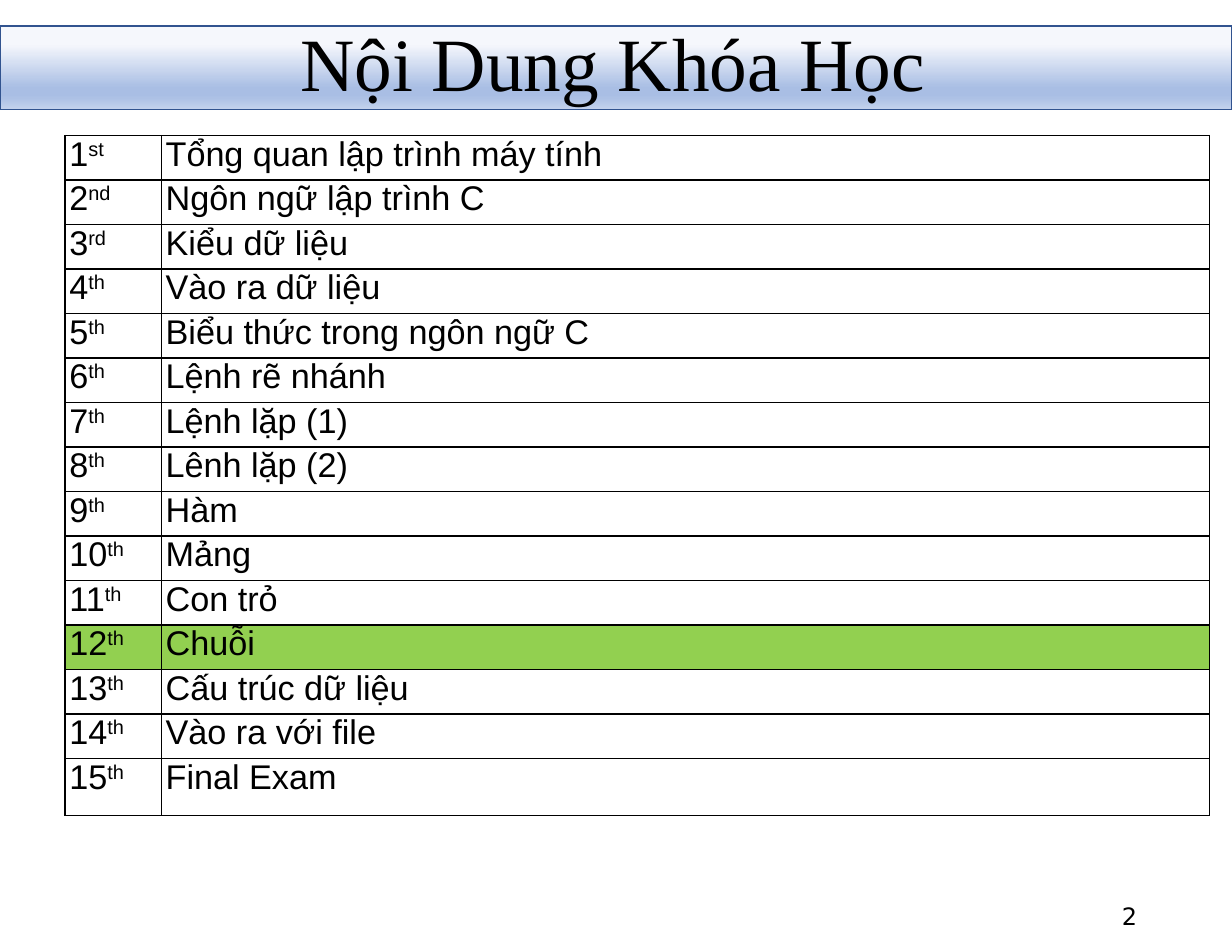
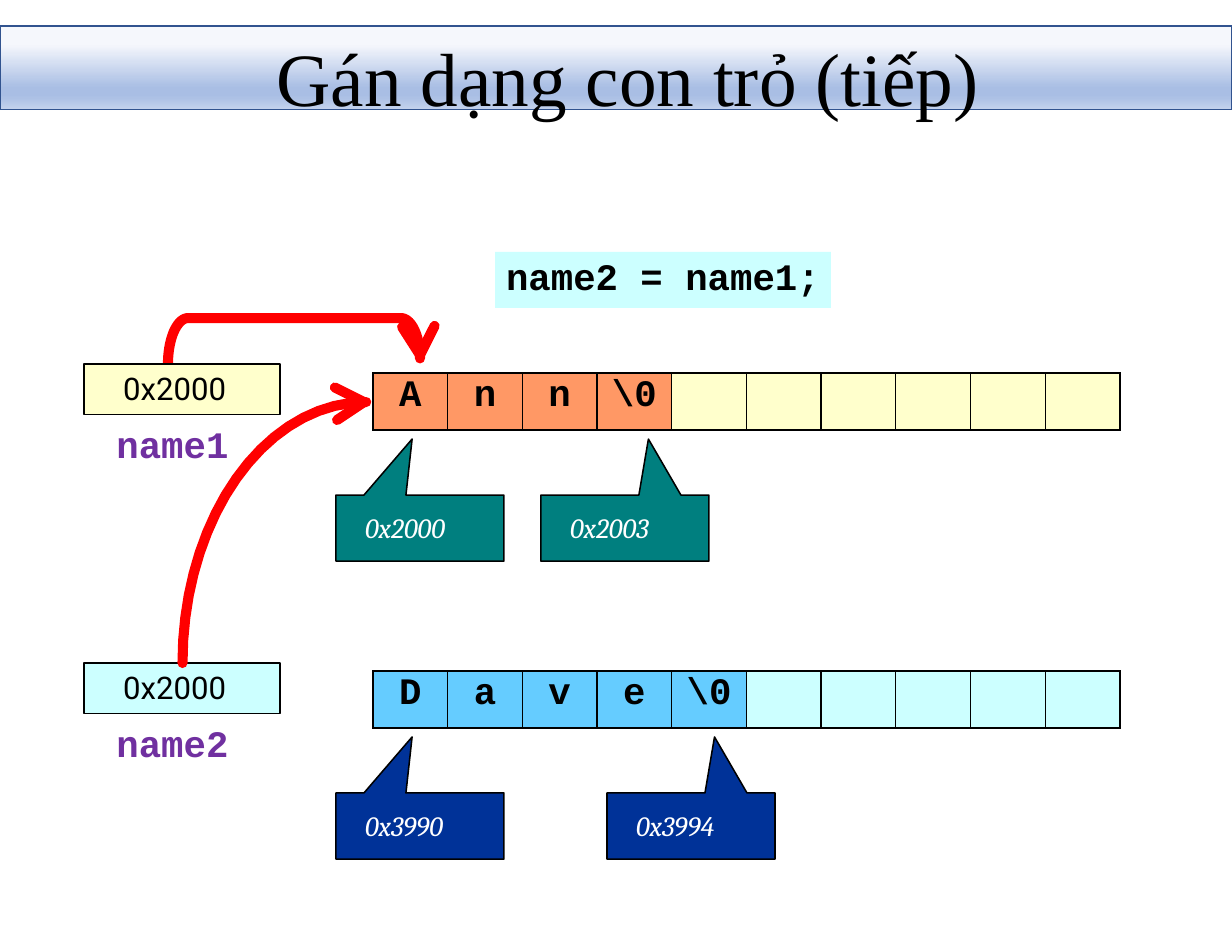
from math import cos, radians, sin

from pptx import Presentation
from pptx import util as u
from pptx.dml.color import RGBColor
from pptx.enum import shapes, text
from pptx.oxml import parse_xml
from pptx.oxml.ns import nsdecls, qn

SHAPE = shapes.MSO_SHAPE
ALIGN = text.PP_ALIGN
TOP, MID = text.MSO_ANCHOR.TOP, text.MSO_ANCHOR.MIDDLE
BLACK, WHITE, RED = "000000", "FFFFFF", "FF0000"
GREEN, CREAM, AQUA = "92D050", "FFFFCC", "CCFFFF"
STOPS = [(0, "F5F7FC"), (22, "F5F7FC"), (74, "A9BEE4"), (83, "A9BEE4"), (100, "C5D3ED")]
CODE = dict(size=24, font="Courier New", bold=True)
TOPICS = [
    "Tổng quan lập trình máy tính",
    "Ngôn ngữ lập trình C",
    "Kiểu dữ liệu",
    "Vào ra dữ liệu",
    "Biểu thức trong ngôn ngữ C",
    "Lệnh rẽ nhánh",
    "Lệnh lặp (1)",
    "Lênh lặp (2)",
    "Hàm",
    "Mảng",
    "Con trỏ",
    "Chuỗi",
    "Cấu trúc dữ liệu",
    "Vào ra với file",
    "Final Exam",
]


def px(*vals):
    return [u.Emu(round(v * 9144)) for v in vals]


def color(code):
    return RGBColor.from_string(code)


def write(frame, words, size=18, font="Arial", ink=BLACK, bold=False, italic=False,
          align=ALIGN.LEFT, sup="", lead=None):
    para = frame.paragraphs[0]
    para.alignment = align
    if lead:
        para.line_spacing = lead
    for part in filter(None, (words, sup)):
        run = para.add_run()
        run.text = part
        face = run.font
        face.size, face.name = u.Pt(size), font
        face.bold, face.italic = bold, italic
        face.color.rgb = color(ink)
    if sup:
        run._r.get_or_add_rPr().set("baseline", "30000")


def inset(item, left, top, right=0, low=0):
    item.margin_left, item.margin_top, item.margin_right, item.margin_bottom = px(left, top, right, low)


def setup(frame, pad, anchor):
    frame.word_wrap = True
    frame.auto_size = text.MSO_AUTO_SIZE.NONE
    frame.vertical_anchor = anchor
    inset(frame, *pad)


def arc(x, y, wide, high, start):
    turns = [radians(start + step) for step in range(0, 91, 5)]
    return [(x + wide * cos(t), y + high * sin(t)) for t in turns]


class Deck:
    def __init__(self):
        self.prs = Presentation()
        self.prs.slide_width, self.prs.slide_height = px(1100, 850)

    def page(self, title, box, pad, lead=None):
        self.slide = self.prs.slides.add_slide(self.prs.slide_layouts[5])
        self.all = self.slide.shapes
        self.band()
        head = self.all.title
        self.all._spTree.append(head._element)
        head.left, head.top, head.width, head.height = px(*box)
        setup(head.text_frame, pad, MID)
        write(head.text_frame, title, size=48.4, font="Times New Roman", lead=lead)

    def band(self):
        band = self.shape(SHAPE.RECTANGLE, (0, 23, 1100, 75), line="31538F")
        band.fill.gradient()
        band.fill.gradient_angle = 270
        stops = "".join(
            f'<a:gs pos="{pos * 1000}"><a:srgbClr val="{code}"/></a:gs>' for pos, code in STOPS)
        grad = band._element.spPr.find(qn("a:gradFill"))
        grad.replace(grad.find(qn("a:gsLst")), parse_xml(f'<a:gsLst {nsdecls("a")}>{stops}</a:gsLst>'))

    def shape(self, kind, box, fill=None, line=None):
        item = self.all.add_shape(kind, *px(*box))
        self.paint(item, fill, line)
        return item

    def paint(self, item, fill, line, width=1):
        item.shadow.inherit = False
        if fill:
            item.fill.solid()
            item.fill.fore_color.rgb = color(fill)
        else:
            item.fill.background()
        if line:
            item.line.color.rgb = color(line)
            item.line.width = u.Pt(width)
        else:
            item.line.fill.background()

    def box(self, words, box, pad, fill, line=None, **look):
        item = self.shape(SHAPE.RECTANGLE, box, fill, line)
        setup(item.text_frame, pad, TOP)
        write(item.text_frame, words, **look)

    def label(self, words, box, pad, anchor=TOP, **look):
        frame = self.all.add_textbox(*px(*box)).text_frame
        setup(frame, pad, anchor)
        write(frame, words, **look)

    def callout(self, words, left, top, tip, fill):
        wide, high = 150, 59
        item = self.shape(SHAPE.RECTANGULAR_CALLOUT, (left, top, wide, high), fill, BLACK)
        item.adjustments[0] = (tip - left) / wide - 0.5
        item.adjustments[1] = -50 / high - 0.5
        setup(item.text_frame, (26, 14), TOP)
        write(item.text_frame, words, font="Cambria", ink=WHITE, italic=True)

    def stroke(self, points):
        dots = [px(*dot) for dot in points]
        pen = self.all.build_freeform(*dots[0], scale=1.0)
        pen.add_line_segments(dots[1:], close=False)
        item = pen.convert_to_shape()
        self.paint(item, None, RED, 6.5)
        edge = item._element.spPr.get_or_add_ln()
        edge.set("cap", "rnd")
        edge.append(parse_xml(f'<a:round {nsdecls("a")}/>'))

    def grid(self, rows, cols, box):
        table = self.all.add_table(rows, cols, *px(*box)).table
        table.first_row = table.horz_banding = False
        return table

    def cell(self, cell, words, pad, fill=None, **look):
        inset(cell, *pad)
        props = cell._tc.get_or_add_tcPr()
        for side in ("lnL", "lnR", "lnT", "lnB"):
            props.append(parse_xml(
                f'<a:{side} {nsdecls("a")} w="12700"><a:solidFill>'
                f'<a:srgbClr val="{BLACK}"/></a:solidFill></a:{side}>'))
        if fill:
            cell.fill.solid()
            cell.fill.fore_color.rgb = color(fill)
        else:
            cell.fill.background()
        write(cell.text_frame, words, **look)

    def array(self, chars, top, full, free):
        table = self.grid(1, 10, (333, top, 667, 51))
        for col in range(10):
            used = col < len(chars)
            self.cell(table.cell(0, col), chars[col] if used else "", (0, 2),
                      full if used else free, align=ALIGN.CENTER, **CODE)

    def value(self, name, top, fill):
        self.box("0x2000", (75, top, 175, 45), (35, 5), fill, BLACK, size=20, font="Roboto")
        self.label(name, (103, top + 50, 103, 43), (1, 1), ink="7030A0", **CODE)


def course(deck):
    deck.page("Nội Dung Khóa Học", (258, -32, 894, 183), (10, 5, 10, 5), lead=0.9)
    table = deck.grid(len(TOPICS), 2, (58, 121, 1022, 596))
    table.columns[0].width, table.columns[1].width = px(86, 936)
    table.rows[len(TOPICS) - 1].height = px(51)[0]
    for row, topic in enumerate(TOPICS):
        num = row + 1
        look = dict(pad=(4, 0, 4, 0), fill=GREEN if topic == "Chuỗi" else None,
                    size=22, align=ALIGN.JUSTIFY)
        end = {1: "st", 2: "nd", 3: "rd"}.get(num, "th")
        deck.cell(table.cell(row, 0), str(num), sup=end, **look)
        deck.cell(table.cell(row, 1), topic, **look)
    deck.label("2", (887, 795, 138, 45), (10, 5, 10, 5), MID,
               size=15.4, font="DejaVu Sans", align=ALIGN.RIGHT)


def names(deck):
    deck.page("Gán dạng con trỏ (tiếp)", (246, 29, 667, 78), (1, 1))
    deck.array(["D", "a", "v", "e", "\\0"], 599, "65CCFF", AQUA)
    deck.array(["A", "n", "n", "\\0"], 333, "FF9865", CREAM)
    for words, left, top, tip, fill in [
        ("0x3990", 300, 708, 368, "003298"),
        ("0x3994", 542, 708, 638, "003298"),
        ("0x2000", 300, 442, 368, "007F7F"),
        ("0x2003", 483, 442, 579, "007F7F"),
    ]:
        deck.callout(words, left, top, tip, fill)
    deck.stroke(arc(168, 325, 18, 41, 180) + arc(358, 320, 17, 36, 270))
    deck.stroke([(359, 292), (375, 317), (388, 291)])
    deck.value("name1", 325, CREAM)
    deck.value("name2", 592, AQUA)
    deck.stroke(arc(327, 592, 164, 233, 180))
    deck.stroke([(299, 346), (325, 359), (301, 375)])
    deck.box("name2 = name1;", (442, 225, 300, 50), (10, 1), AQUA, **CODE)


def main():
    deck = Deck()
    course(deck)
    names(deck)
    deck.prs.save("out.pptx")


if __name__ == "__main__":
    main()
